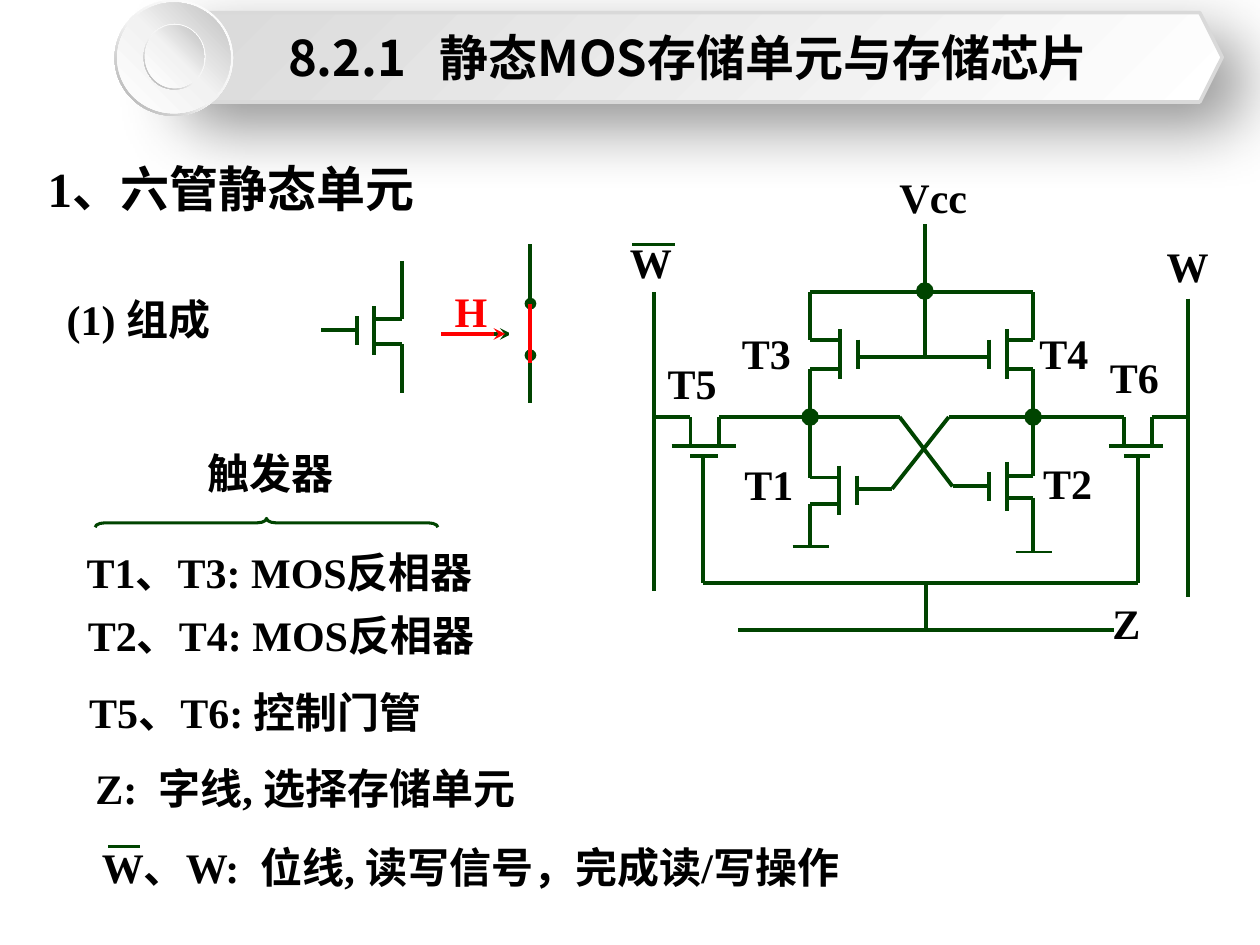
from lxml import etree
from pptx import Presentation
from pptx.dml.color import RGBColor
from pptx.enum.shapes import MSO_CONNECTOR as Connector, MSO_SHAPE as Shape
from pptx.enum.text import MSO_ANCHOR as Anchor, MSO_AUTO_SIZE as AutoSize, PP_ALIGN as Align
from pptx.oxml import parse_xml
from pptx.oxml.ns import nsdecls, qn
from pptx.util import Cm, Pt

COLORS = {
    "wire": "004400", "text": "000000", "accent": "FF0000", "paper": "FFFFFF",
    "banner": "D9D9D9", "pale": "F2F2F2", "rim": "A6A6A6", "disc": "BFBFBF",
}
LATIN, CHINESE = "Times New Roman", "Noto Sans CJK SC"


def length(inches):
    """Convert the inch grid of the layout to a centimetre length."""
    return Cm(inches * 2.54)


def color(name):
    return RGBColor.from_string(COLORS[name])


class SlideBuilder:
    """Holds the drawing style and the slide that is being filled."""

    text_format = {"name": LATIN, "size": Pt(24), "bold": True}
    line_width = 2.25

    def __init__(self, slide):
        self.slide = slide

    def add_text(self, frame, text, ink="text", **changes):
        run = frame.paragraphs[0].add_run()
        run.text = text
        for name, value in {**self.text_format, **changes}.items():
            setattr(run.font, name, value)
        run.font.color.rgb = color(ink)
        east_asian = etree.SubElement(run.font._element, qn("a:ea"))
        east_asian.set("typeface", CHINESE)

    def label(self, left, top, width, text, height=0.5, **changes):
        box = self.slide.shapes.add_textbox(*map(length, (left, top, width, height)))
        box.text_frame.word_wrap = True
        box.text_frame.auto_size = AutoSize.SHAPE_TO_FIT_TEXT
        self.add_text(box.text_frame, text, **changes)

    def line(self, x1, y1, x2, y2, ink="wire", width=line_width, **ends):
        """Draw a straight line; ends maps headEnd or tailEnd to a marker type."""
        connector = self.slide.shapes.add_connector(
            Connector.STRAIGHT, *map(length, (x1, y1, x2, y2)))
        connector.line.color.rgb = color(ink)
        connector.line.width = Pt(width)
        outline = connector.line._get_or_add_ln()
        for tag, marker in ends.items():
            etree.SubElement(outline, qn(f"a:{tag}")).set("type", marker)
        etree.SubElement(connector._element.spPr, qn("a:effectLst"))

    def wire(self, *points):
        """Join consecutive points with straight lines."""
        for start, end in zip(points, points[1:]):
            self.line(*start, *end)

    def shape(self, kind, left, top, width, height, adjustments=()):
        shape = self.slide.shapes.add_shape(kind, *map(length, (left, top, width, height)))
        shape.shadow.inherit = False
        shape.fill.background()
        shape.line.fill.background()
        for index, value in enumerate(adjustments):
            shape.adjustments[index] = value
        return shape

    def gradient_shape(self, kind, place, stops, angle, adjustments=()):
        shape = self.shape(kind, *place, adjustments)
        stop_xml = "".join(
            f'<a:gs pos="{percent * 1000}"><a:srgbClr val="{COLORS[name]}"/></a:gs>'
            for percent, name in stops)
        gradient = parse_xml(
            f'<a:gradFill {nsdecls("a")} rotWithShape="1"><a:gsLst>{stop_xml}</a:gsLst>'
            f'<a:lin ang="{angle * 60000}" scaled="0"/></a:gradFill>')
        properties = shape._element.spPr
        properties.replace(properties.find(qn("a:noFill")), gradient)
        return shape

    def junction(self, x, y, size=0.14):
        dot = self.shape(Shape.OVAL, x - size / 2, y - size / 2, size, size)
        dot.fill.solid()
        dot.fill.fore_color.rgb = color("wire")

    def transistor(self, lead, channel, plate, top, upper, lower, bottom):
        """Draw a transistor with vertical leads; its gate plate lies beside the channel."""
        middle = (upper + lower) / 2
        self.wire((lead, top), (lead, upper), (channel, upper))
        self.wire((channel, lower), (lead, lower), (lead, bottom))
        self.line(channel, middle - 0.2, channel, middle + 0.19)
        self.line(plate, middle - 0.12, plate, middle + 0.11)

    def pass_transistor(self, left_leg, right_leg, channel_left, channel_right, gate):
        """Draw a transistor lying across the bit line, with its gate wire going down."""
        for leg in (left_leg, right_leg):
            self.line(leg, 3.31, leg, 3.54)
        self.line(channel_left, 3.54, channel_right, 3.54)
        self.line(left_leg, 3.62, right_leg - 0.01, 3.62)
        self.line(gate, 3.62, gate, 4.63)

    def ring(self, left, top, width, height, inset):
        """Draw a thin shaded rim with a lighter disc inside it."""
        self.gradient_shape(Shape.DONUT, (left, top, width, height),
                            [(0, "paper"), (55, "pale"), (100, "rim")], 135, [0.05])
        self.gradient_shape(
            Shape.OVAL,
            (left + inset, top + inset, width - 2 * inset, height - 2 * inset),
            [(0, "paper"), (51, "pale"), (100, "disc")], 315)

    def banner(self, text):
        banner = self.gradient_shape(Shape.HEXAGON, (1.22, 0.1, 8.48, 0.71),
                                     [(0, "paper"), (100, "banner")], 225)
        banner.line.color.rgb = color("banner")
        banner.line.width = Pt(2)
        effects = banner._element.spPr.find(qn("a:effectLst"))
        effects.append(parse_xml(
            f'<a:outerShdw {nsdecls("a")} blurRad="{Pt(38)}" dist="{Pt(19)}" '
            f'dir="{45 * 60000}" algn="tl" rotWithShape="0"><a:srgbClr val="{COLORS["text"]}">'
            '<a:alpha val="42000"/></a:srgbClr></a:outerShdw>'))
        frame = banner.text_frame
        frame.vertical_anchor = Anchor.MIDDLE
        frame.paragraphs[0].alignment = Align.CENTER
        self.add_text(frame, text, name=CHINESE, size=Pt(28))


def draw_notes(builder):
    builder.label(0.28, 1.21, 3.77, "1、六管静态单元", 0.57, size=Pt(28))
    for left, top, width, text in (
        (0.43, 2.28, 1.71, "(1) 组成"),
        (1.55, 3.5, 1.4, "触发器"),
        (0.59, 4.29, 4.17, "T1、T3: MOS反相器"),
        (0.6, 4.79, 4.83, "T2、T4: MOS反相器"),
        (0.61, 5.4, 4.25, "T5、T6: 控制门管"),
        (0.66, 6, 5.07, "Z:  字线, 选择存储单元"),
        (0.71, 6.63, 6.34, "W、W:  位线, 读写信号，完成读/写操作"),
    ):
        builder.label(left, top, width, text)
    builder.line(0.86, 6.72, 1.11, 6.72, width=1.75)
    brace = builder.shape(Shape.LEFT_BRACE, 2.08, 2.79, 0.07, 2.72, [1.08, 0.5])
    brace.rotation = 90
    brace.line.color.rgb = color("wire")
    brace.line.width = Pt(1.75)


def draw_memory_cell(builder):
    for left, top, width, text in (
        (7.04, 1.31, 0.99, "Vcc"), (4.9, 1.83, 0.72, "W"), (9.16, 1.86, 0.55, "W"),
        (5.81, 3.59, 0.71, "T1"), (8.18, 3.58, 0.71, "T2"), (5.79, 2.55, 0.71, "T3"),
        (8.15, 2.55, 0.71, "T4"), (5.2, 2.79, 0.66, "T5"), (8.71, 2.74, 0.72, "T6"),
        (8.73, 4.69, 0.61, "Z"),
    ):
        builder.label(left, top, width, text, 0.51)

    builder.transistor(6.43, 6.67, 6.81, 2.32, 2.7, 2.93, 3.31)
    builder.transistor(8.2, 7.99, 7.85, 2.32, 2.7, 2.93, 3.31)
    builder.transistor(6.43, 6.66, 6.8, 3.31, 3.79, 4, 4.33)
    builder.transistor(8.2, 7.99, 7.85, 3.31, 3.78, 3.95, 4.37)
    builder.pass_transistor(5.48, 5.71, 5.33, 5.84, 5.58)
    builder.pass_transistor(8.92, 9.14, 8.8, 9.23, 9.03)

    builder.line(6.43, 2.32, 8.2, 2.32)
    builder.line(7.34, 1.78, 7.34, 2.83)
    builder.line(6.81, 2.83, 7.85, 2.83)
    builder.wire((5.71, 3.31), (7.14, 3.31), (7.56, 3.86), (7.85, 3.86))
    builder.wire((6.8, 3.88), (7.08, 3.88), (7.53, 3.31), (8.92, 3.31))
    builder.line(5.19, 3.31, 5.48, 3.31)
    builder.line(9.14, 3.31, 9.43, 3.31)
    builder.line(5.19, 2.32, 5.19, 4.69)
    builder.line(9.43, 2.37, 9.43, 4.74)
    builder.line(5.58, 4.63, 9.03, 4.63)
    builder.line(7.35, 4.63, 7.35, 5)
    builder.line(5.86, 5, 8.84, 5)
    for left, y in ((6.29, 4.34), (8.06, 4.38)):
        builder.line(left, y, left + 0.29, y, width=1.5)
    builder.line(5.02, 1.94, 5.36, 1.94, width=1.75)
    for x, y in ((7.34, 2.31), (6.43, 3.31), (8.2, 3.31)):
        builder.junction(x, y)


def draw_switch_model(builder):
    builder.transistor(3.19, 2.97, 2.83, 2.07, 2.53, 2.73, 3.12)
    builder.line(2.83, 2.62, 2.55, 2.62)
    builder.line(4.21, 1.94, 4.21, 2.41, tailEnd="oval")
    builder.line(4.21, 2.82, 4.21, 3.2, headEnd="oval")
    builder.line(4.06, 2.65, 3.54, 2.65, headEnd="stealth")
    builder.line(4.01, 2.65, 3.5, 2.65, "accent", headEnd="stealth")
    builder.line(4.21, 2.88, 4.21, 2.41, "accent")
    builder.label(3.51, 2.22, 0.31, "H", ink="accent")
    builder.line(4.06, 2.49, 4.06, 2.81, "paper", 3)


def main():
    presentation = Presentation()
    presentation.slide_width, presentation.slide_height = length(10), length(7.5)
    builder = SlideBuilder(presentation.slides.add_slide(presentation.slide_layouts[6]))
    draw_notes(builder)
    draw_memory_cell(builder)
    draw_switch_model(builder)
    builder.banner("8.2.1   静态MOS存储单元与存储芯片")
    builder.ring(0.91, 0, 0.94, 0.92, 0.02)
    builder.ring(1.14, 0.19, 0.49, 0.52, 0.01)
    presentation.save("out.pptx")


if __name__ == "__main__":
    main()
